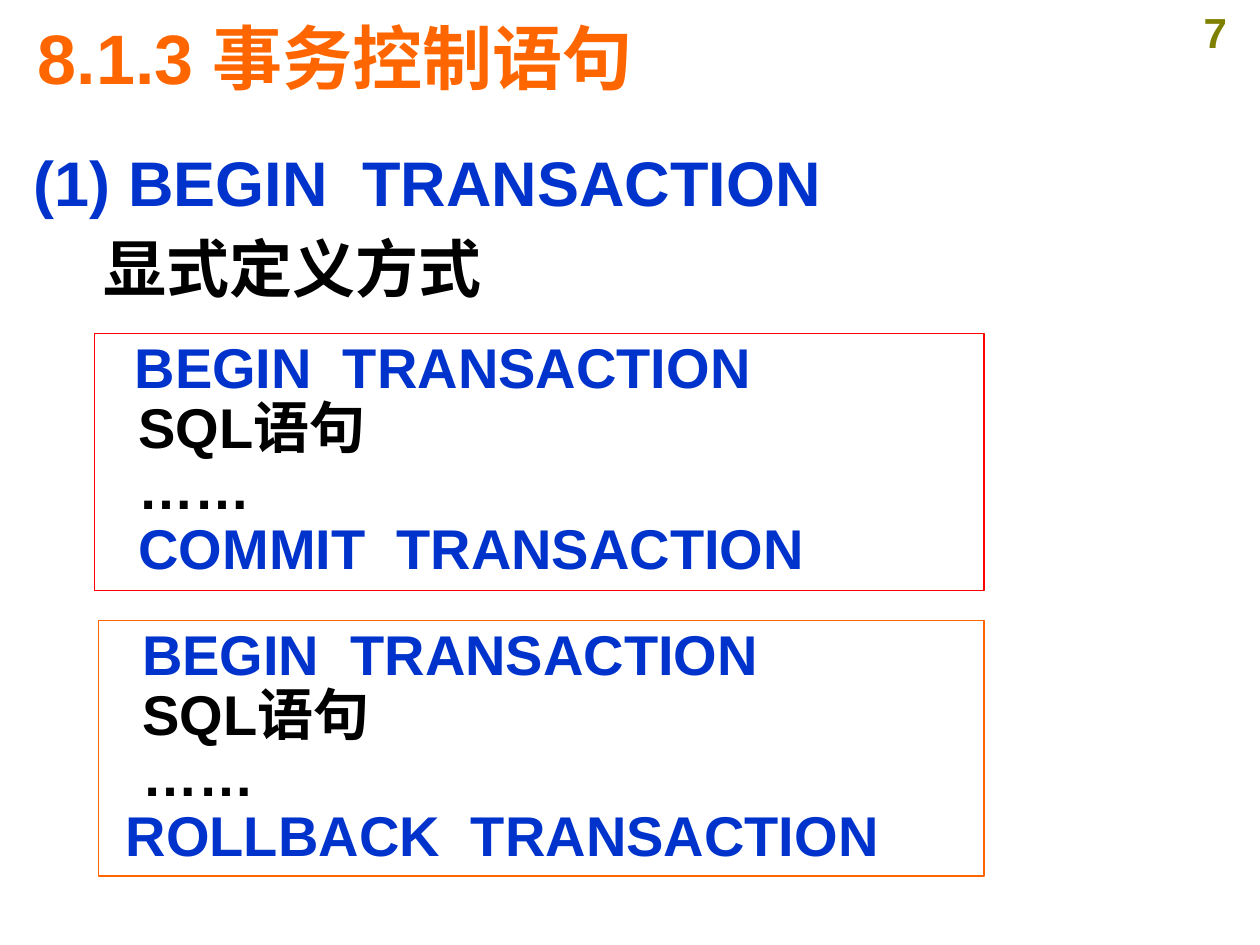
from pptx import Presentation
from pptx.dml.color import RGBColor as Rgb
from pptx.enum.shapes import MSO_SHAPE as Kind
from pptx.enum.text import MSO_ANCHOR as Anchor, PP_ALIGN as Align
from pptx.util import Inches, Pt

theme = {
    "face": "Arial",
    "blue": "0033CC", "black": "000000", "orange": "FF6600",
    "red": "FF0000", "olive": "808000",
    "title": 40, "lead": 36, "code": 32, "page": 24,
}

deck = Presentation()
deck.slide_width, deck.slide_height = Inches(10), Inches(7.5)
wide, high = deck.slide_width, deck.slide_height
slide = deck.slides.add_slide(deck.slide_layouts[5])


def place(x, y, w, h):
    return int(wide * x), int(high * y), int(wide * w), int(high * h)


def write(frame, rows, size, align=Align.LEFT, anchor=Anchor.TOP, pitch=1.0, gap=0):
    frame.word_wrap = True
    frame.vertical_anchor = anchor
    for i, (text, tint, dent) in enumerate(rows):
        para = frame.paragraphs[0] if i == 0 else frame.add_paragraph()
        para.text = text
        para.alignment = align
        para.line_spacing = pitch
        para.space_before = Pt(gap if i else 0)
        para._p.get_or_add_pPr().set("marL", str(Inches(dent)))
        para._p.get_or_add_pPr().set("indent", "0")
        font = para.font
        font.name, font.size, font.bold = theme["face"], Pt(theme[size]), True
        font.color.rgb = Rgb.from_string(theme[tint])


head = slide.shapes.title
head.left, head.top, head.width, head.height = place(0.02, 0.01, 0.95, 0.1)
write(head.text_frame, [("8.1.3 事务控制语句", "orange", 0)], "title", anchor=Anchor.MIDDLE)

page = slide.shapes.add_textbox(*place(0.929, 0, 0.071, 0.067))
write(page.text_frame, [("7", "olive", 0)], "page", align=Align.CENTER)

lead = slide.shapes.add_textbox(*place(0.017, 0.145, 0.89, 0.18))
write(lead.text_frame, [
    ("(1) BEGIN  TRANSACTION", "blue", 0),
    ("显式定义方式", "black", 0.55),
], "lead", gap=6)

blocks = [
    ("red", (0.075, 0.353, 0.706, 0.272), 0.22, "COMMIT", 0.25),
    ("orange", (0.078, 0.657, 0.703, 0.27), 0.25, "ROLLBACK", 0.12),
]
for edge, spot, first, verb, last in blocks:
    box = slide.shapes.add_shape(Kind.RECTANGLE, *place(*spot))
    box.shadow.inherit = False
    box.fill.background()
    box.line.color.rgb = Rgb.from_string(theme[edge])
    box.line.width = Pt(0.75)
    write(box.text_frame, [
        ("BEGIN  TRANSACTION", "blue", first),
        ("SQL语句", "black", 0.25),
        ("……", "black", 0.25),
        (f"{verb}  TRANSACTION", "blue", last),
    ], "code", pitch=0.9)

deck.save("out.pptx")
